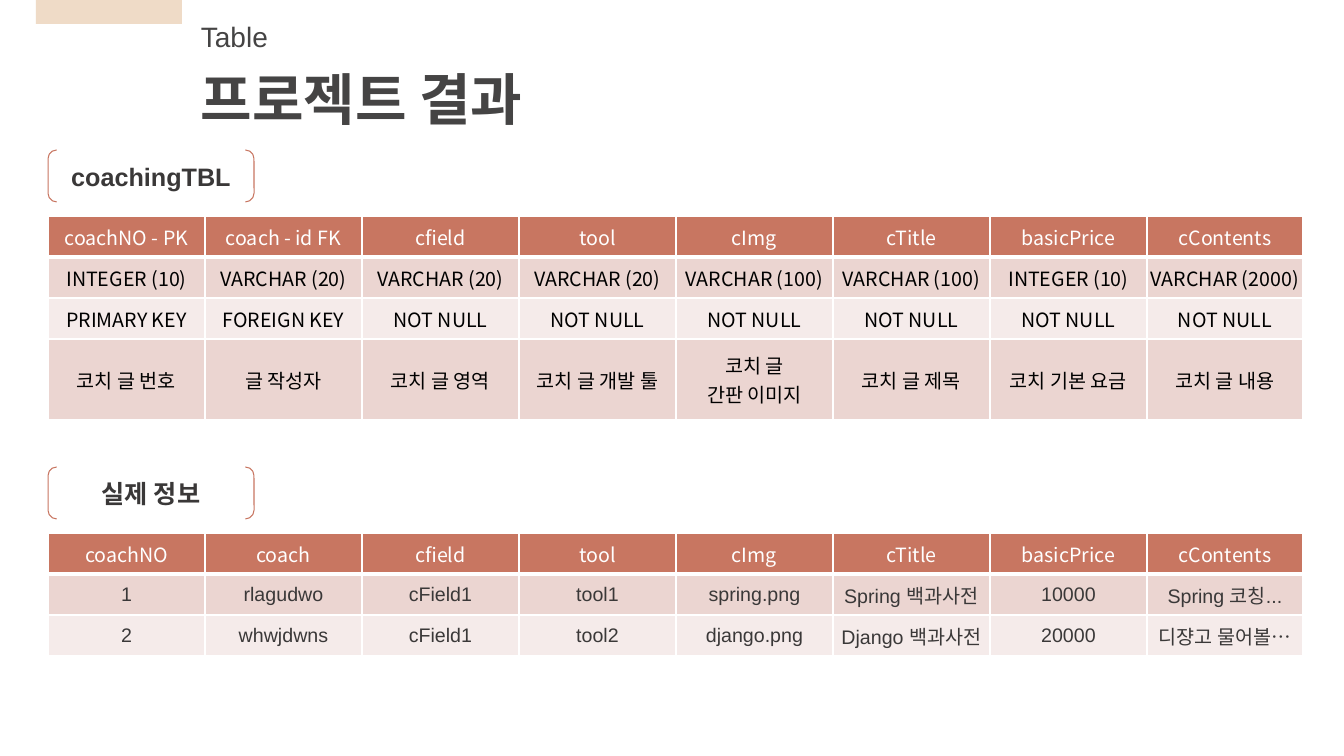
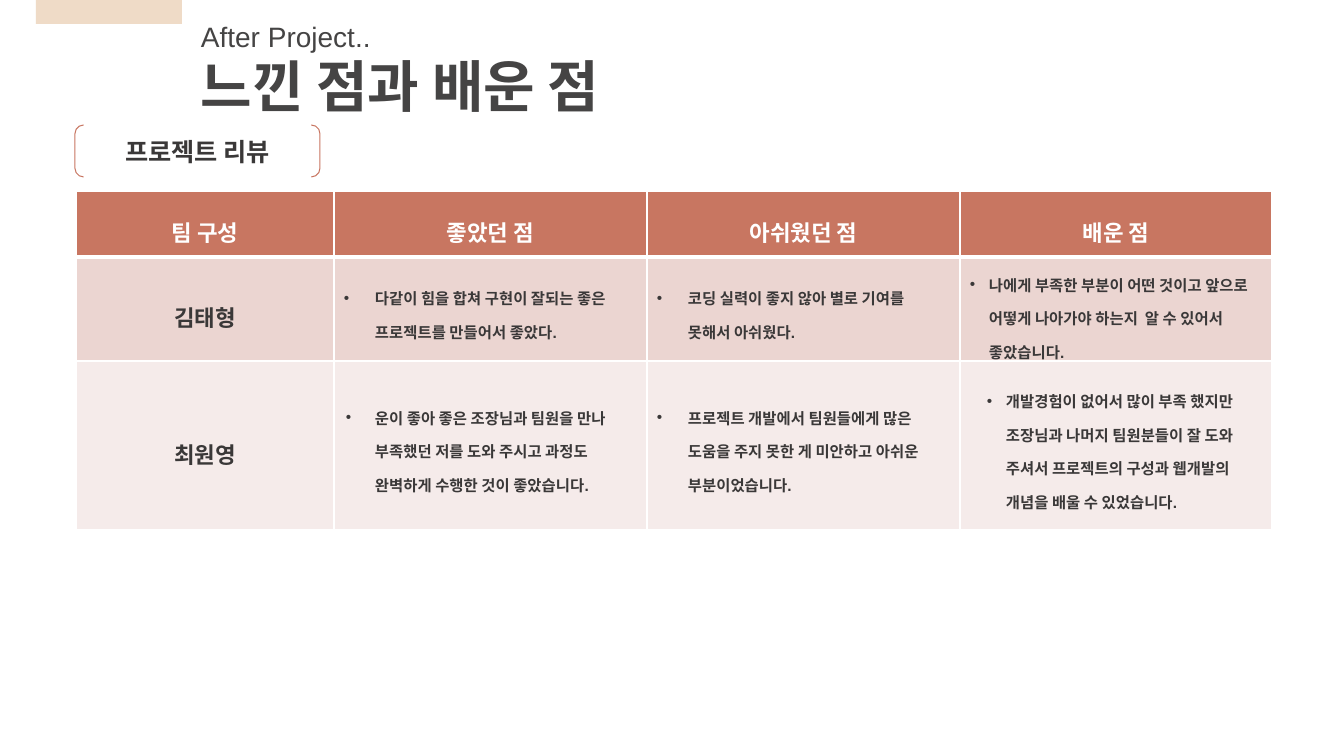
import dataclasses

import lxml.etree
import pptx
import pptx.dml.color
import pptx.enum.shapes
import pptx.enum.text
import pptx.oxml.ns
import pptx.util

PX = 914400 / 100.8
SHAPE = pptx.enum.shapes.MSO_SHAPE
ALIGN = pptx.enum.text.PP_ALIGN
MIDDLE = pptx.enum.text.MSO_ANCHOR.MIDDLE
qn = pptx.oxml.ns.qn


@dataclasses.dataclass(frozen=True)
class Theme:
    tab: str = "EFDBC7"
    title: str = "454444"
    ink: str = "3A3838"
    black: str = "000000"
    white: str = "FFFFFF"
    accent: str = "C87661"
    bands: tuple = ("EBD5D1", "F5EBEA")
    latin: str = "Arial"
    korean: str = "Noto Sans CJK KR"
    kicker_size: int = 20
    title_size: int = 40
    label_size: int = 18
    review_size: int = 16
    schema_size: int = 14
    bullet_size: int = 11
    thin: int = 1
    thick: int = 3


THEME = Theme()
rgb = pptx.dml.color.RGBColor.from_string


def px(*lengths):
    """Turn pixel lengths into a list of EMU."""
    return [pptx.util.Emu(round(length * PX)) for length in lengths]


def write(paragraph, text, size, color, bold=False, latin=THEME.latin):
    """Add one run, with the Korean font set for East Asian letters."""
    run = paragraph.add_run()
    run.text = text
    run.font.size = pptx.util.Pt(size)
    run.font.bold = bold
    run.font.color.rgb = rgb(color)
    run.font.name = latin
    lxml.etree.SubElement(run._r.get_or_add_rPr(), qn("a:ea"), typeface=THEME.korean)


SCHEMA = {
    "columns": [157] * 7 + [156],
    "size": THEME.schema_size,
    "bold": False,
    "spacing": None,
    "header_font": THEME.korean,
    "header_inset": (3, 2),
}
SLIDES = [
    {
        "kicker": ("Table", (191, 15, 130, 44)),
        "title": ("프로젝트 결과", (191, 60, 438, 78)),
        "labels": [
            ("coachingTBL", (48, 150, 206, 52)),
            ("실제 정보", (48, 467, 206, 52)),
        ],
        "tables": [
            SCHEMA | {
                "at": (48, 216),
                "rows": [41, 41, 41, 81],
                "body_font": THEME.korean,
                "body_color": THEME.black,
                "body_inset": (3, 2),
                "cells": [
                    ["coachNO - PK", "coach - id FK", "cfield", "tool",
                     "cImg", "cTitle", "basicPrice", "cContents"],
                    ["INTEGER (10)", "VARCHAR (20)", "VARCHAR (20)", "VARCHAR (20)",
                     "VARCHAR (100)", "VARCHAR (100)", "INTEGER (10)", "VARCHAR (2000)"],
                    ["PRIMARY KEY", "FOREIGN KEY"] + ["NOT NULL"] * 6,
                    ["코치 글 번호", "글 작성자", "코치 글 영역", "코치 글 개발 툴",
                     "코치 글\n간판 이미지", "코치 글 제목", "코치 기본 요금", "코치 글 내용"],
                ],
            },
            SCHEMA | {
                "at": (48, 533),
                "rows": [41, 41, 41],
                "body_font": THEME.latin,
                "body_color": THEME.ink,
                "body_inset": (3, 0),
                "cells": [
                    ["coachNO", "coach", "cfield", "tool",
                     "cImg", "cTitle", "basicPrice", "cContents"],
                    ["1", "rlagudwo", "cField1", "tool1",
                     "spring.png", "Spring 백과사전", "10000", "Spring 코칭..."],
                    ["2", "whwjdwns", "cField1", "tool2",
                     "django.png", "Django 백과사전", "20000", "디쟝고 물어볼…"],
                ],
            },
        ],
    },
    {
        "kicker": ("After Project..", (191, 15, 319, 44)),
        "title": ("느낀 점과 배운 점", (191, 47, 560, 78)),
        "labels": [("프로젝트 리뷰", (75, 125, 245, 52))],
        "tables": [
            {
                "at": (76, 191),
                "columns": [258, 313, 313, 312],
                "rows": [66, 104, 169],
                "size": THEME.review_size,
                "bold": True,
                "spacing": 1.5,
                "header_font": THEME.latin,
                "header_inset": (10, 5),
                "body_font": THEME.latin,
                "body_color": THEME.ink,
                "body_inset": (10, 5),
                # A bulleted cell is (text, left margin, hanging indent).
                "cells": [
                    ["팀 구성", "좋았던 점", "아쉬웠던 점", "배운 점"],
                    ["김태형",
                     ("다같이 힘을 합쳐 구현이 잘되는 좋은 프로젝트를 만들어서 좋았다.", 31, 31),
                     ("코딩 실력이 좋지 않아 별로 기여를 못해서 아쉬웠다.", 31, 31),
                     ("나에게 부족한 부분이 어떤 것이고 앞으로 어떻게 나아가야 하는지  알 수 있어서 "
                      "좋았습니다.", 19, 19)],
                    ["최원영",
                     ("운이 좋아 좋은 조장님과 팀원을 만나 부족했던 저를 도와 주시고 과정도 "
                      "완벽하게 수행한 것이 좋았습니다.", 31, 29),
                     ("프로젝트 개발에서 팀원들에게 많은 도움을 주지 못한 게 미안하고 아쉬운 "
                      "부분이었습니다.", 31, 31),
                     ("개발경험이 없어서 많이 부족 했지만 조장님과 나머지 팀원분들이 잘 도와 "
                      "주셔서 프로젝트의 구성과 웹개발의 개념을 배울 수 있었습니다.", 36, 19)],
                ],
            },
        ],
    },
]

deck = pptx.Presentation()
deck.slide_width, deck.slide_height = px(1344, 756)

for content in SLIDES:
    slide = deck.slides.add_slide(deck.slide_layouts[6])

    tab = slide.shapes.add_shape(SHAPE.RECTANGLE, *px(36, 0, 146, 24))
    tab.shadow.inherit = False
    tab.fill.solid()
    tab.fill.fore_color.rgb = rgb(THEME.tab)
    tab.line.fill.background()

    for part, size, bold in (("kicker", THEME.kicker_size, False),
                             ("title", THEME.title_size, True)):
        text, box = content[part]
        heading = slide.shapes.add_textbox(*px(*box)).text_frame
        heading.word_wrap = True
        heading.auto_size = pptx.enum.text.MSO_AUTO_SIZE.SHAPE_TO_FIT_TEXT
        write(heading.paragraphs[0], text, size, THEME.title, bold)

    for text, box in content["labels"]:
        label = slide.shapes.add_shape(SHAPE.DOUBLE_BRACKET, *px(*box))
        label.shadow.inherit = False
        label.fill.background()
        label.line.color.rgb = rgb(THEME.accent)
        label.line.width = pptx.util.Pt(0.75)
        label.text_frame.vertical_anchor = MIDDLE
        label.text_frame.paragraphs[0].alignment = ALIGN.CENTER
        write(label.text_frame.paragraphs[0], text, THEME.label_size, THEME.ink, True)

    for spec_table in content["tables"]:
        columns, rows = spec_table["columns"], spec_table["rows"]
        table = slide.shapes.add_table(
            len(rows), len(columns),
            *px(*spec_table["at"], sum(columns), sum(rows))).table
        for column, width in zip(table.columns, px(*columns)):
            column.width = width
        for row, height in zip(table.rows, px(*rows)):
            row.height = height

        for r, line in enumerate(spec_table["cells"]):
            zone = "body" if r else "header"
            color = spec_table["body_color"] if r else THEME.white
            fill = THEME.bands[(r - 1) % 2] if r else THEME.accent
            inset_x, inset_y = px(*spec_table[zone + "_inset"])
            borders = {
                "a:lnL": THEME.thin,
                "a:lnR": THEME.thin,
                "a:lnT": THEME.thick if r == 1 else THEME.thin,
                "a:lnB": THEME.thick if r == 0 else THEME.thin,
            }
            for c, entry in enumerate(line):
                cell = table.cell(r, c)
                cell.vertical_anchor = MIDDLE
                cell.margin_left = cell.margin_right = inset_x
                cell.margin_top = cell.margin_bottom = inset_y
                for side, weight in borders.items():
                    edge = lxml.etree.SubElement(cell._tc.get_or_add_tcPr(), qn(side),
                                                 w=str(pptx.util.Pt(weight)))
                    paint = lxml.etree.SubElement(edge, qn("a:solidFill"))
                    lxml.etree.SubElement(paint, qn("a:srgbClr"), val=THEME.white)
                cell.fill.solid()
                cell.fill.fore_color.rgb = rgb(fill)

                bulleted = isinstance(entry, tuple)
                text = entry[0] if bulleted else entry
                size = THEME.bullet_size if bulleted else spec_table["size"]
                for n, sentence in enumerate(text.split("\n")):
                    frame = cell.text_frame
                    paragraph = frame.add_paragraph() if n else frame.paragraphs[0]
                    paragraph.line_spacing = spec_table["spacing"]
                    if bulleted:
                        margin, hanging = px(*entry[1:])
                        props = paragraph._p.get_or_add_pPr()
                        props.set("marL", str(margin))
                        props.set("indent", str(-hanging))
                        tint = lxml.etree.SubElement(props, qn("a:buClr"))
                        lxml.etree.SubElement(tint, qn("a:srgbClr"), val=THEME.ink)
                        lxml.etree.SubElement(props, qn("a:buFont"), typeface=THEME.latin)
                        lxml.etree.SubElement(props, qn("a:buChar"), char="•")
                    else:
                        paragraph.alignment = ALIGN.CENTER
                    write(paragraph, sentence, size, color, spec_table["bold"],
                          spec_table[zone + "_font"])

deck.save("out.pptx")
